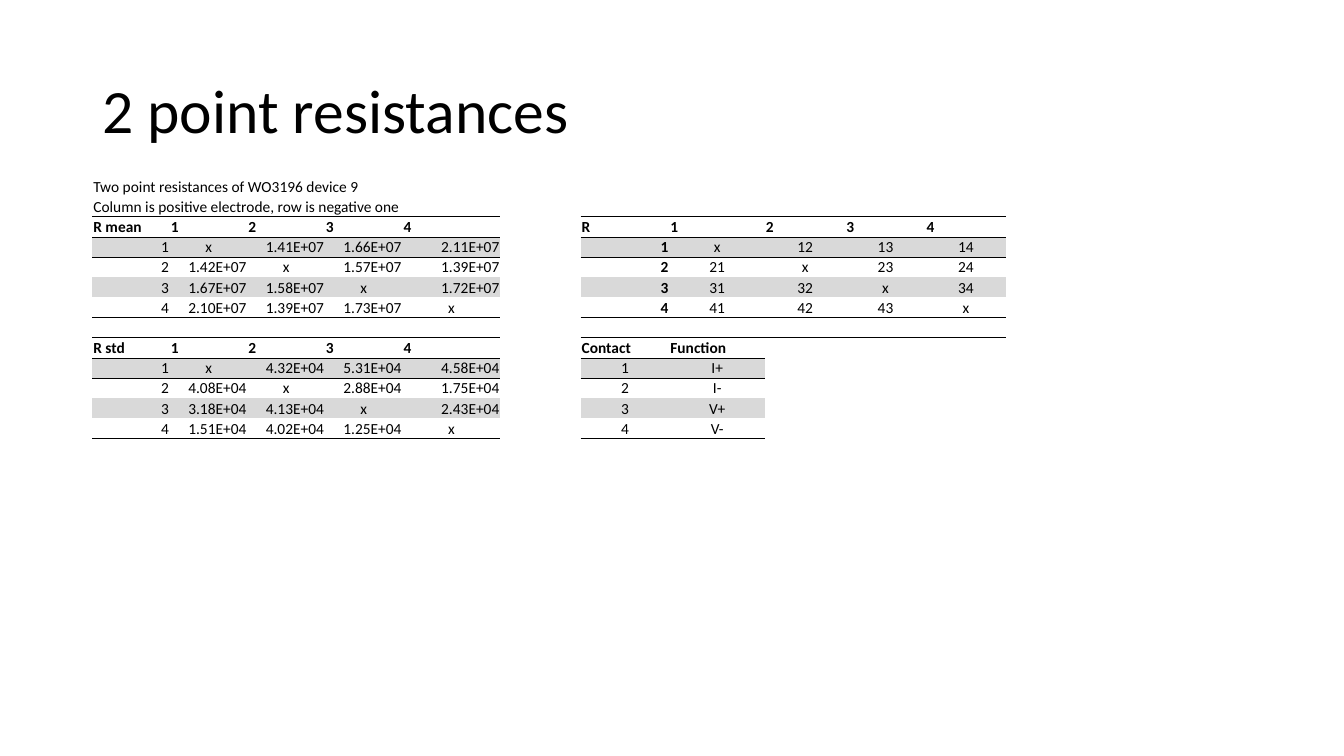
"""Build a slide of two-point resistance tables."""
import lxml.etree
import pptx
import pptx.dml.color
import pptx.enum.text
import pptx.oxml.ns
import pptx.util

Pt = pptx.util.Pt
qn = pptx.oxml.ns.qn
Align = pptx.enum.text.PP_ALIGN
Anchor = pptx.enum.text.MSO_ANCHOR
BLACK = pptx.dml.color.RGBColor(0x00, 0x00, 0x00)
BAND = pptx.dml.color.RGBColor(0xD9, 0xD9, 0xD9)
PLAIN_STYLE = "{2D5ABB26-0587-4C30-8999-92F81FD0307C}"
CAPTION_SPAN = 4

COLUMN_WIDTHS = [55.4] * 4 + [69.9, 57.4, 63.4, 68.3] + [57.4] * 3
ROW_COUNT, ROW_HEIGHT = 13, 14.4
CAPTIONS = [
    "Two point resistances of WO3196 device 9",
    "Column is positive electrode, row is negative one",
]
MEANS = [
    ["R mean", "1", "2", "3", "4"],
    ["1", "x", "1.41E+07", "1.66E+07", "2.11E+07"],
    ["2", "1.42E+07", "x", "1.57E+07", "1.39E+07"],
    ["3", "1.67E+07", "1.58E+07", "x", "1.72E+07"],
    ["4", "2.10E+07", "1.39E+07", "1.73E+07", "x"],
]
DEVIATIONS = [
    ["R std", "1", "2", "3", "4"],
    ["1", "x", "4.32E+04", "5.31E+04", "4.58E+04"],
    ["2", "4.08E+04", "x", "2.88E+04", "1.75E+04"],
    ["3", "3.18E+04", "4.13E+04", "x", "2.43E+04"],
    ["4", "1.51E+04", "4.02E+04", "1.25E+04", "x"],
]
CONTACT_PAIRS = [["R", "1", "2", "3", "4"]] + [
    [str(row)] + ["x" if row == column else f"{row}{column}" for column in range(1, 5)]
    for row in range(1, 5)
]
FUNCTIONS = [["Contact", "Function"], ["1", "I+"], ["2", "I-"], ["3", "V+"], ["4", "V-"]]


class ResistanceSlide:
    """Hold the slide, its table and the shared text style."""

    def __init__(self, slide, font="Calibri", size=11):
        self.slide, self.font, self.size = slide, font, size
        self.grid = None

    def add_run(self, paragraph, wording, size, bold=False):
        """Add one styled run."""
        run = paragraph.add_run()
        run.text = wording
        run.font.name, run.font.size, run.font.bold = self.font, Pt(size), bold
        run.font.color.rgb = BLACK

    def add_title(self, wording):
        """Place and fill the title placeholder."""
        title = self.slide.shapes.title
        title.left, title.top, title.width, title.height = Pt(66), Pt(28.8), Pt(828), Pt(104.4)
        frame = title.text_frame
        frame.auto_size = pptx.enum.text.MSO_AUTO_SIZE.NONE
        frame.vertical_anchor = Anchor.MIDDLE
        heading = frame.paragraphs[0]
        heading.alignment, heading.line_spacing = Align.LEFT, 0.9
        self.add_run(heading, wording, 44)

    def add_grid(self, left, top):
        """Add the empty table with tight cells."""
        frame = self.slide.shapes.add_table(
            ROW_COUNT, len(COLUMN_WIDTHS), Pt(left), Pt(top),
            Pt(sum(COLUMN_WIDTHS)), Pt(ROW_COUNT * ROW_HEIGHT))
        self.grid = frame.table
        self.grid.first_row = self.grid.horz_banding = False
        next(frame.element.iter(qn("a:tableStyleId"))).text = PLAIN_STYLE
        for column, width in zip(self.grid.columns, COLUMN_WIDTHS):
            column.width = Pt(width)
        for row in self.grid.rows:
            row.height = Pt(ROW_HEIGHT)
        for cell in self.grid.iter_cells():
            cell.margin_left = cell.margin_right = cell.margin_top = Pt(0.7)
            cell.margin_bottom = Pt(0)
            cell.vertical_anchor = Anchor.BOTTOM
            end = lxml.etree.SubElement(cell.text_frame.paragraphs[0]._p, qn("a:endParaRPr"))
            end.set("sz", str(self.size * 100))

    def fill_cell(self, row, column, wording, align=Align.LEFT, bold=False):
        """Put styled wording in one table cell."""
        paragraph = self.grid.cell(row, column).text_frame.paragraphs[0]
        paragraph.alignment = align
        self.add_run(paragraph, wording, self.size, bold)

    def add_caption(self, row, wording):
        """Put a caption across the first columns."""
        self.grid.cell(row, 0).merge(self.grid.cell(row, CAPTION_SPAN - 1))
        self.fill_cell(row, 0, wording)

    def add_edge(self, row, column, side):
        """Draw one cell border."""
        properties = self.grid.cell(row, column)._tc.get_or_add_tcPr()
        edge = lxml.etree.SubElement(properties, qn(side), w=str(Pt(0.5)))
        fill = lxml.etree.SubElement(edge, qn("a:solidFill"))
        lxml.etree.SubElement(fill, qn("a:srgbClr"), val=str(BLACK))

    def add_rule(self, row, columns):
        """Draw a rule above the given row."""
        for column in columns:
            self.add_edge(row - 1, column, "a:lnB")
            if row < ROW_COUNT:
                self.add_edge(row, column, "a:lnT")

    def add_block(self, top, left, lines, label_align, value_align, bold_labels=False):
        """Add a ruled and banded block of values."""
        columns = range(left, left + len(lines[0]))
        for row in (top, top + 1, top + len(lines)):
            self.add_rule(row, columns)
        for offset, line in enumerate(lines):
            for column, wording in zip(columns, line):
                is_label = column == left
                align = label_align if is_label else value_align
                if offset == 0:
                    align = Align.LEFT
                elif wording == "x":
                    align = Align.CENTER
                self.fill_cell(top + offset, column, wording, align,
                               offset == 0 or (is_label and bold_labels))
                if offset % 2:
                    fill = self.grid.cell(top + offset, column).fill
                    fill.solid()
                    fill.fore_color.rgb = BAND


presentation = pptx.Presentation()
presentation.slide_width, presentation.slide_height = Pt(960), Pt(540)
page = ResistanceSlide(presentation.slides.add_slide(presentation.slide_layouts[5]))
page.add_title("2 point resistances")
page.add_grid(66, 126)
for caption_row, caption in enumerate(CAPTIONS):
    page.add_caption(caption_row, caption)
page.add_block(2, 0, MEANS, Align.RIGHT, Align.RIGHT)
page.add_block(2, 6, CONTACT_PAIRS, Align.RIGHT, Align.CENTER, bold_labels=True)
page.add_block(8, 0, DEVIATIONS, Align.RIGHT, Align.RIGHT)
page.add_block(8, 6, FUNCTIONS, Align.CENTER, Align.CENTER)
presentation.save("out.pptx")
